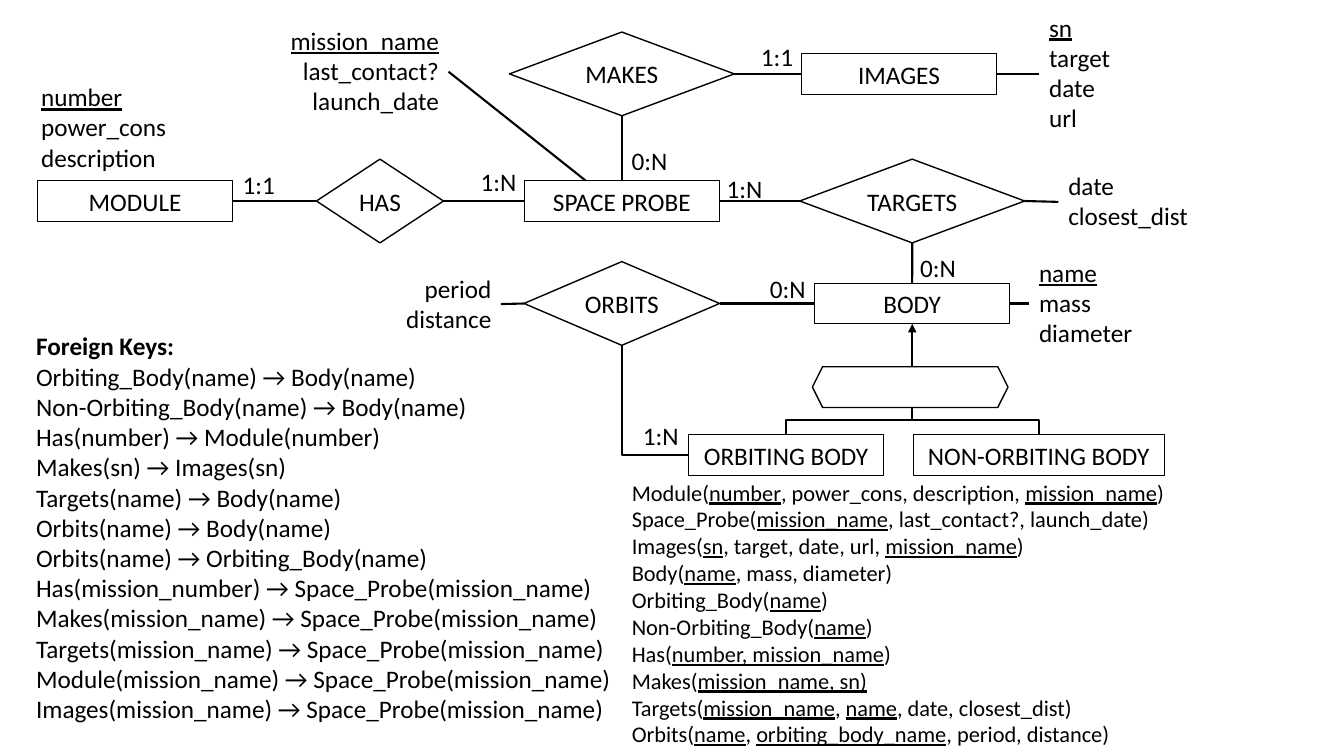
from pptx import Presentation
from pptx.util import Pt
from pptx.dml.color import RGBColor
from pptx.enum.shapes import MSO_SHAPE as Kind, MSO_CONNECTOR as Wire
from pptx.enum.text import PP_ALIGN as Align, MSO_ANCHOR as Anchor
from pptx.oxml.ns import qn
from lxml.etree import SubElement

BLACK = RGBColor(0, 0, 0)
WHITE = RGBColor(255, 255, 255)

deck = Presentation()
deck.slide_width = Pt(960)
deck.slide_height = Pt(540)
slide = deck.slides.add_slide(deck.slide_layouts[6])
shapes = slide.shapes


def write(frame, lines, size, align):
    for i, line in enumerate(lines):
        para = frame.paragraphs[0] if i == 0 else frame.add_paragraph()
        para.alignment = align
        for j, part in enumerate(line.split("*")):
            if part:
                run = para.add_run()
                run.text = part
                run.font.name = "Calibri"
                run.font.size = Pt(size)
                run.font.color.rgb = BLACK
                if j % 2:
                    run.font.underline = True


def draw(x1, y1, x2, y2):
    wire = shapes.add_connector(Wire.STRAIGHT, Pt(x1), Pt(y1), Pt(x2), Pt(y2))
    wire.line.color.rgb = BLACK
    wire.line.width = Pt(1.5)
    SubElement(wire._element.spPr, qn("a:effectLst"))
    return wire


RECT, RHOMB = Kind.RECTANGLE, Kind.DIAMOND
nodes = {}
for name, kind, mid, row, wide in [
    ("BODY", RECT, 651.6, 216.8, 139.7),
    ("", Kind.HEXAGON, 650.2, 276.5, 139.7),
    ("ORBITING BODY", RECT, 561.6, 325, 139.7),
    ("NON-ORBITING BODY", RECT, 742, 325, 179.3),
    ("ORBITS", RHOMB, 444.2, 216.8, 139.7),
    ("TARGETS", RHOMB, 651.6, 143.6, 160.6),
    ("SPACE PROBE", RECT, 444.2, 143.6, 139.7),
    ("IMAGES", RECT, 642.2, 52.8, 139.7),
    ("MAKES", RHOMB, 444.2, 52.8, 160.6),
    ("HAS", RHOMB, 271.4, 143.6, 90.7),
    ("MODULE", RECT, 96.5, 143.6, 139.7),
]:
    high = 59.8 if kind == RHOMB else 29.1
    node = shapes.add_shape(kind, Pt(mid - wide / 2), Pt(row - high / 2), Pt(wide), Pt(high))
    node.shadow.inherit = False
    if kind == RHOMB:
        node.fill.solid()
        node.fill.fore_color.rgb = WHITE
    else:
        node.fill.background()
    node.line.color.rgb = BLACK
    node.line.width = Pt(0.75 if kind == RECT else 1)
    if name:
        frame = node.text_frame
        frame.word_wrap = False
        frame.vertical_anchor = Anchor.MIDDLE
        write(frame, [name], 18, Align.CENTER)
    nodes[name] = node

TOP, LEFT, BASE, RIGHT = range(4)
for start, out, end, into in [
    ("MODULE", RIGHT, "HAS", LEFT),
    ("HAS", RIGHT, "SPACE PROBE", LEFT),
    ("SPACE PROBE", RIGHT, "TARGETS", LEFT),
    ("SPACE PROBE", TOP, "MAKES", BASE),
    ("MAKES", RIGHT, "IMAGES", LEFT),
    ("BODY", TOP, "TARGETS", BASE),
    ("ORBITS", RIGHT, "BODY", LEFT),
]:
    wire = draw(0, 0, 0, 0)
    wire.begin_connect(nodes[start], out)
    wire.end_connect(nodes[end], into)

for ends in [
    (712, 52.8, 742.3, 52.8),
    (721.5, 216.8, 735.1, 216.8),
    (357.8, 217.2, 374.4, 216.8),
    (731.9, 143.6, 756, 144.2),
    (320.4, 51.2, 418.3, 129),
    (651.6, 300, 651.6, 291),
]:
    draw(*ends)

arrow = draw(651.6, 262, 651.6, 231.4)
SubElement(arrow.line._get_or_add_ln(), qn("a:tailEnd"), type="triangle")

for first, *rest in [
    [(444.2, 246.7), (444.2, 325), (491.8, 325)],
    [(561.6, 310.4), (561.6, 300), (742, 300), (742, 310.4)],
]:
    pen = shapes.build_freeform(Pt(first[0]), Pt(first[1]))
    pen.add_line_segments([(Pt(x), Pt(y)) for x, y in rest], close=False)
    bend = pen.convert_to_shape()
    bend.shadow.inherit = False
    bend.fill.background()
    bend.line.color.rgb = BLACK
    bend.line.width = Pt(1.5)

notes = [
    (left, top, 41, 29, 18, Align.LEFT, [text])
    for left, top, text in [
        (444.2, 100.1, "0:N"), (536.4, 25.9, "1:1"), (336.2, 115.2, "1:N"),
        (166.3, 117.4, "1:1"), (511.9, 120.2, "1:N"), (650.2, 176.4, "0:N"),
        (542.9, 191.8, "0:N"), (452.2, 296.6, "1:N"),
    ]
]
notes += [
    (742.3, 5, 163, 94, 18, Align.LEFT, ["*sn*", "target", "date", "url"]),
    (22.3, 54.7, 127, 73, 18, Align.LEFT, ["*number*", "power_cons", "description"]),
    (735.1, 180, 127, 73, 18, Align.LEFT, ["*name*", "mass", "diameter"]),
    (231.1, 191.5, 127, 51, 18, Align.RIGHT, ["period", "distance"]),
    (756, 118.1, 127, 51, 18, Align.LEFT, ["date", "closest_dist"]),
    (193.7, 14.4, 127, 73, 18, Align.RIGHT, ["*mission_name*", "last_contact?", "launch_date"]),
    (444.2, 338.4, 395, 201, 16, Align.LEFT, [
        "Module(*number*, power_cons, description, *mission_name*)",
        "Space_Probe(*mission_name*, last_contact?, launch_date)",
        "Images(*sn*, target, date, url, *mission_name*)",
        "Body(*name*, mass, diameter)",
        "Orbiting_Body(*name*)",
        "Non-Orbiting_Body(*name*)",
        "Has(*number, mission_name*)",
        "Makes(*mission_name, sn)*",
        "Targets(*mission_name*, *name*, date, closest_dist)",
        "Orbits(*name*, *orbiting_body_name*, period, distance)",
    ]),
    (18.7, 232.6, 473, 312, 18, Align.LEFT, [
        "Foreign Keys:",
        "Orbiting_Body(name) → Body(name)",
        "Non-Orbiting_Body(name) → Body(name)",
        "Has(number) → Module(number)",
        "Makes(sn) → Images(sn)",
        "Targets(name) → Body(name)",
        "Orbits(name) → Body(name)",
        "Orbits(name) → Orbiting_Body(name)",
        "Has(mission_number) → Space_Probe(mission_name)",
        "Makes(mission_name) → Space_Probe(mission_name)",
        "Targets(mission_name) → Space_Probe(mission_name)",
        "Module(mission_name) → Space_Probe(mission_name)",
        "Images(mission_name) → Space_Probe(mission_name)",
    ]),
]
for left, top, wide, high, size, align, lines in notes:
    box = shapes.add_textbox(Pt(left), Pt(top), Pt(wide), Pt(high))
    box.text_frame.word_wrap = True
    write(box.text_frame, lines, size, align)

box.text_frame.paragraphs[0].runs[0].font.bold = True

deck.save("out.pptx")
